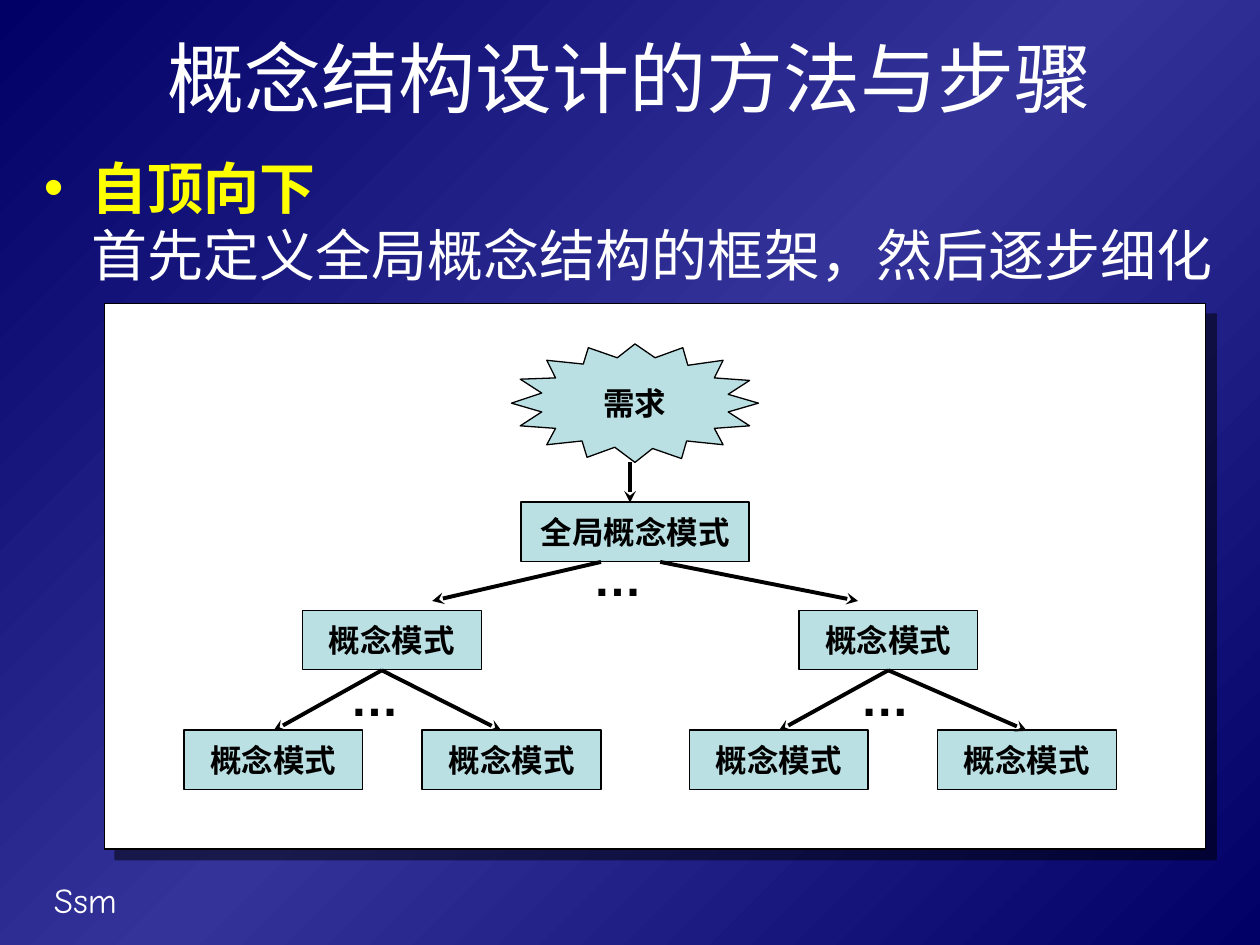
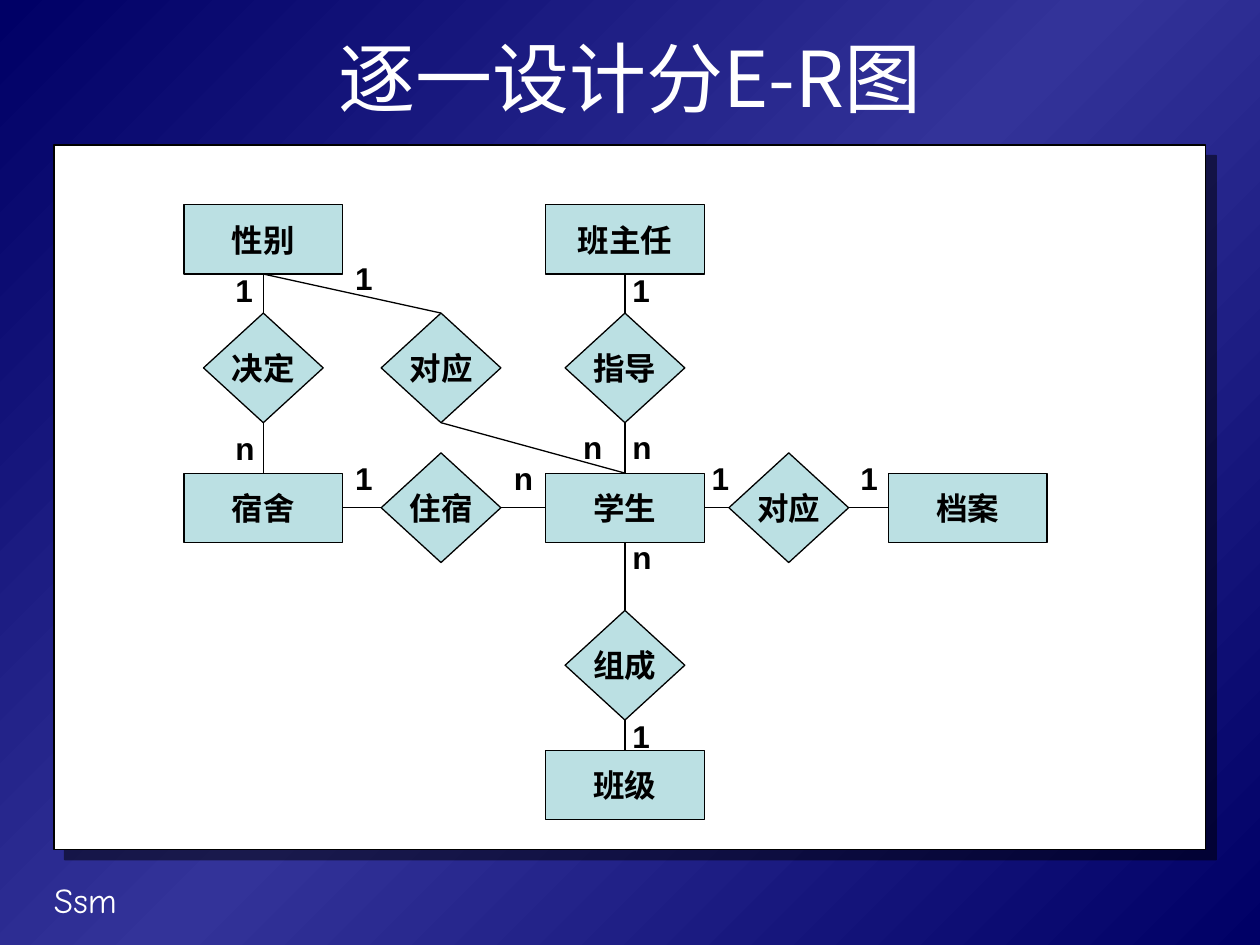
from lxml.etree import SubElement
from pptx import Presentation
from pptx.dml.color import RGBColor
from pptx.enum.shapes import MSO_CONNECTOR, MSO_SHAPE
from pptx.enum.text import MSO_ANCHOR, PP_ALIGN
from pptx.oxml.ns import qn
from pptx.util import Inches, Pt

COLORS = {
    "navy": "000066",
    "indigo": "333399",
    "white": "FFFFFF",
    "yellow": "FFFF00",
    "black": "000000",
    "node": "BBE0E3",
}
CJK_FONT = "Noto Sans CJK SC"
LABEL_FONT = "Arial"
FOOTER_FONT = "Comic Neue"
TOP, LEFT, BOTTOM, RIGHT = range(4)

BURST_POINTS = [
    (4.06, 3.2), (4.3, 3.27), (4.13, 3.38), (4.41, 3.4), (4.34, 3.53), (4.62, 3.5),
    (4.66, 3.63), (4.88, 3.55), (5.04, 3.67), (5.18, 3.56), (5.41, 3.64), (5.45, 3.5),
    (5.74, 3.53), (5.67, 3.4), (5.95, 3.38), (5.78, 3.27), (6.02, 3.2), (5.78, 3.13),
    (5.95, 3.02), (5.67, 3), (5.74, 2.86), (5.46, 2.9), (5.42, 2.76), (5.2, 2.84),
    (5.04, 2.73), (4.9, 2.84), (4.67, 2.76), (4.63, 2.89), (4.34, 2.86), (4.41, 3),
    (4.13, 3.01), (4.3, 3.12),
]


def color(name):
    """Return the named colour."""
    return RGBColor.from_string(COLORS[name])


def add_xml(parent, tag, **attributes):
    """Append a DrawingML element and return it."""
    return SubElement(parent, qn(tag), attributes)


def set_font(paragraph, name, size, color_name, bold=False):
    """Set the font of a whole paragraph."""
    font = paragraph.font
    font.size, font.bold, font.name = Pt(size), bold, name
    font.color.rgb = color(color_name)
    add_xml(paragraph._p.pPr.find(qn("a:defRPr")), "a:ea", typeface=CJK_FONT)


def paint_background(master):
    """Give every slide the diagonal blue gradient."""
    fill = master.background.fill
    fill.gradient()
    fill.gradient_angle = 315
    stops = master.element.cSld.find(".//" + qn("a:gsLst"))
    stops.clear()
    for position, name in ((0, "navy"), (50000, "indigo"), (100000, "navy")):
        stop = add_xml(stops, "a:gs", pos=str(position))
        add_xml(stop, "a:srgbClr", val=COLORS[name])


def add_text(slide, box, text, font, size, color_name, bold=False):
    """Add a text box of one paragraph and return its frame."""
    frame = slide.shapes.add_textbox(*map(Inches, box)).text_frame
    frame.word_wrap = True
    paragraph = frame.paragraphs[0]
    paragraph.text = text
    set_font(paragraph, font, size, color_name, bold)
    return frame


def add_titled_slide(presentation, title):
    """Add a slide with the shared title and footer."""
    slide = presentation.slides.add_slide(presentation.slide_layouts[6])
    frame = add_text(slide, (0.5, 0.17, 9, 0.87), title, CJK_FONT, 44, "white")
    frame.vertical_anchor = MSO_ANCHOR.MIDDLE
    frame.paragraphs[0].alignment = PP_ALIGN.CENTER
    add_text(slide, (0.33, 6.92, 2.08, 0.44), "Ssm", FOOTER_FONT, 20, "white")
    return slide


def style_shape(shape, fill_name):
    """Give a shape a plain fill and a thin black outline."""
    shape.shadow.inherit = False
    shape.fill.solid()
    shape.fill.fore_color.rgb = color(fill_name)
    shape.line.color.rgb = color("black")
    shape.line.width = Pt(0.75)


def add_panel(slide, box):
    """Add the white diagram panel with its offset shadow."""
    panel = slide.shapes.add_shape(MSO_SHAPE.RECTANGLE, *map(Inches, box))
    style_shape(panel, "white")
    effects = panel.element.spPr.find(qn("a:effectLst"))
    shadow = add_xml(effects, "a:outerShdw", blurRad="0", dist=str(Pt(8.5)),
                     dir="2700000", algn="ctr", rotWithShape="0")
    shade = add_xml(shadow, "a:srgbClr", val=COLORS["black"])
    add_xml(shade, "a:alpha", val="50000")


def label_node(shape, text):
    """Style a diagram node and write its centred label."""
    style_shape(shape, "node")
    frame = shape.text_frame
    frame.word_wrap = False
    frame.vertical_anchor = MSO_ANCHOR.MIDDLE
    paragraph = frame.paragraphs[0]
    paragraph.text = text
    paragraph.alignment = PP_ALIGN.CENTER
    set_font(paragraph, LABEL_FONT, 18, "black", True)


def add_node(slide, kind, center, size, text):
    """Add a labelled node around a centre point."""
    corner = [middle - length / 2 for middle, length in zip(center, size)]
    shape = slide.shapes.add_shape(kind, *map(Inches, (*corner, *size)))
    label_node(shape, text)
    return shape


def add_burst(slide, text):
    """Add the labelled starburst."""
    builder = slide.shapes.build_freeform(*map(Inches, BURST_POINTS[0]))
    builder.add_line_segments([tuple(map(Inches, point)) for point in BURST_POINTS[1:]])
    label_node(builder.convert_to_shape(), text)


def add_line(slide, start=(0, 0), end=(0, 0), width=0.75):
    """Add a straight black line."""
    line = slide.shapes.add_connector(MSO_CONNECTOR.STRAIGHT, *map(Inches, (*start, *end)))
    line.line.color.rgb = color("black")
    line.line.width = Pt(width)
    add_xml(line.element.spPr, "a:effectLst")
    return line


def add_arrow(slide, start, end):
    """Add a thick line with a stealth arrowhead."""
    arrow = add_line(slide, start, end, 2.25)
    add_xml(arrow.line._get_or_add_ln(), "a:tailEnd", type="stealth")


def add_link(slide, first, first_side, second, second_side):
    """Join two nodes at the given sides."""
    line = add_line(slide)
    line.begin_connect(first, first_side)
    line.end_connect(second, second_side)


def add_approach(slide):
    """Add the bulleted approach with its explanation below."""
    frame = slide.shapes.add_textbox(*map(Inches, (0.25, 1.17, 9.58, 1.2))).text_frame
    frame.word_wrap = True
    paragraph = frame.paragraphs[0]
    properties = paragraph._p.get_or_add_pPr()
    properties.set("marL", str(Inches(0.38)))
    properties.set("indent", str(-Inches(0.38)))
    add_xml(add_xml(properties, "a:buClr"), "a:srgbClr", val=COLORS["yellow"])
    add_xml(properties, "a:buFont", typeface=LABEL_FONT)
    add_xml(properties, "a:buChar", char="•")
    set_font(paragraph, CJK_FONT, 32, "yellow")
    heading = paragraph.add_run()
    heading.text = "自顶向下"
    heading.font.bold = True
    paragraph.add_line_break()
    explanation = paragraph.add_run()
    explanation.text = "首先定义全局概念结构的框架，然后逐步细化"
    explanation.font.color.rgb = color("white")


def build_top_down_slide(presentation):
    """Build the slide on top-down conceptual design."""
    slide = add_titled_slide(presentation, "概念结构设计的方法与步骤")
    add_panel(slide, (0.83, 2.41, 8.74, 4.33))
    add_approach(slide)
    add_burst(slide, "需求")
    add_node(slide, MSO_SHAPE.RECTANGLE, (5.04, 4.22), (1.81, 0.47), "全局概念模式")
    for row, columns in ((5.08, (3.11, 7.05)), (6.03, (2.17, 4.06, 6.18, 8.15))):
        for column in columns:
            add_node(slide, MSO_SHAPE.RECTANGLE, (column, row), (1.42, 0.47), "概念模式")

    add_arrow(slide, (5, 3.67), (5, 3.99))
    add_arrow(slide, (4.77, 4.46), (3.43, 4.77))
    add_arrow(slide, (5.24, 4.46), (6.81, 4.77))
    for parent, children in ((3.03, (2.17, 3.98)), (7.05, (6.18, 8.15))):
        for child in children:
            add_arrow(slide, (parent, 5.32), (child, 5.8))
    for left, top in ((4.61, 4.3), (2.68, 5.25), (6.73, 5.25)):
        add_text(slide, (left, top, 0.79, 0.57), "…", LABEL_FONT, 28, "black", True)


def build_entity_slide(presentation):
    """Build the slide with the entity-relationship diagram."""
    slide = add_titled_slide(presentation, "逐一设计分E-R图")
    add_panel(slide, (0.43, 1.15, 9.14, 5.59))

    def entity(text, *center):
        """Add an entity rectangle."""
        return add_node(slide, MSO_SHAPE.RECTANGLE, center, (1.26, 0.55), text)

    def relation(text, *center):
        """Add a relationship diamond."""
        return add_node(slide, MSO_SHAPE.DIAMOND, center, (0.95, 0.87), text)

    gender = entity("性别", 2.09, 1.9)
    adviser = entity("班主任", 4.96, 1.9)
    dormitory = entity("宿舍", 2.09, 4.03)
    student = entity("学生", 4.96, 4.03)
    record = entity("档案", 7.68, 4.03)
    school_class = entity("班级", 4.96, 6.23)
    decides = relation("决定", 2.09, 2.92)
    matches_gender = relation("对应", 3.5, 2.92)
    guides = relation("指导", 4.96, 2.92)
    lodges = relation("住宿", 3.5, 4.03)
    matches_record = relation("对应", 6.26, 4.03)
    composes = relation("组成", 4.96, 5.28)

    chains_down = (
        (gender, decides, dormitory),
        (gender, matches_gender, student),
        (adviser, guides, student),
        (student, composes, school_class),
    )
    chains_across = ((dormitory, lodges, student), (student, matches_record, record))
    for chains, leaving, entering in ((chains_down, BOTTOM, TOP), (chains_across, RIGHT, LEFT)):
        for chain in chains:
            for first, second in zip(chain, chain[1:]):
                add_link(slide, first, leaving, second, entering)

    cardinalities = {
        "1": ((2.72, 3.59), (5.55, 3.59), (6.73, 3.59), (4.92, 2.1),
              (4.92, 5.64), (1.77, 2.1), (2.72, 2.01)),
        "n": ((3.98, 3.59), (4.92, 3.35), (4.92, 4.22), (1.77, 3.36), (4.53, 3.35)),
    }
    for text, places in cardinalities.items():
        for left, top in places:
            add_text(slide, (left, top, 0.39, 0.4), text, LABEL_FONT, 18, "black", True)


def main():
    """Build and save the presentation."""
    presentation = Presentation()
    presentation.slide_width = Inches(10)
    presentation.slide_height = Inches(7.5)
    paint_background(presentation.slide_master)
    build_top_down_slide(presentation)
    build_entity_slide(presentation)
    presentation.save("out.pptx")


if __name__ == "__main__":
    main()
